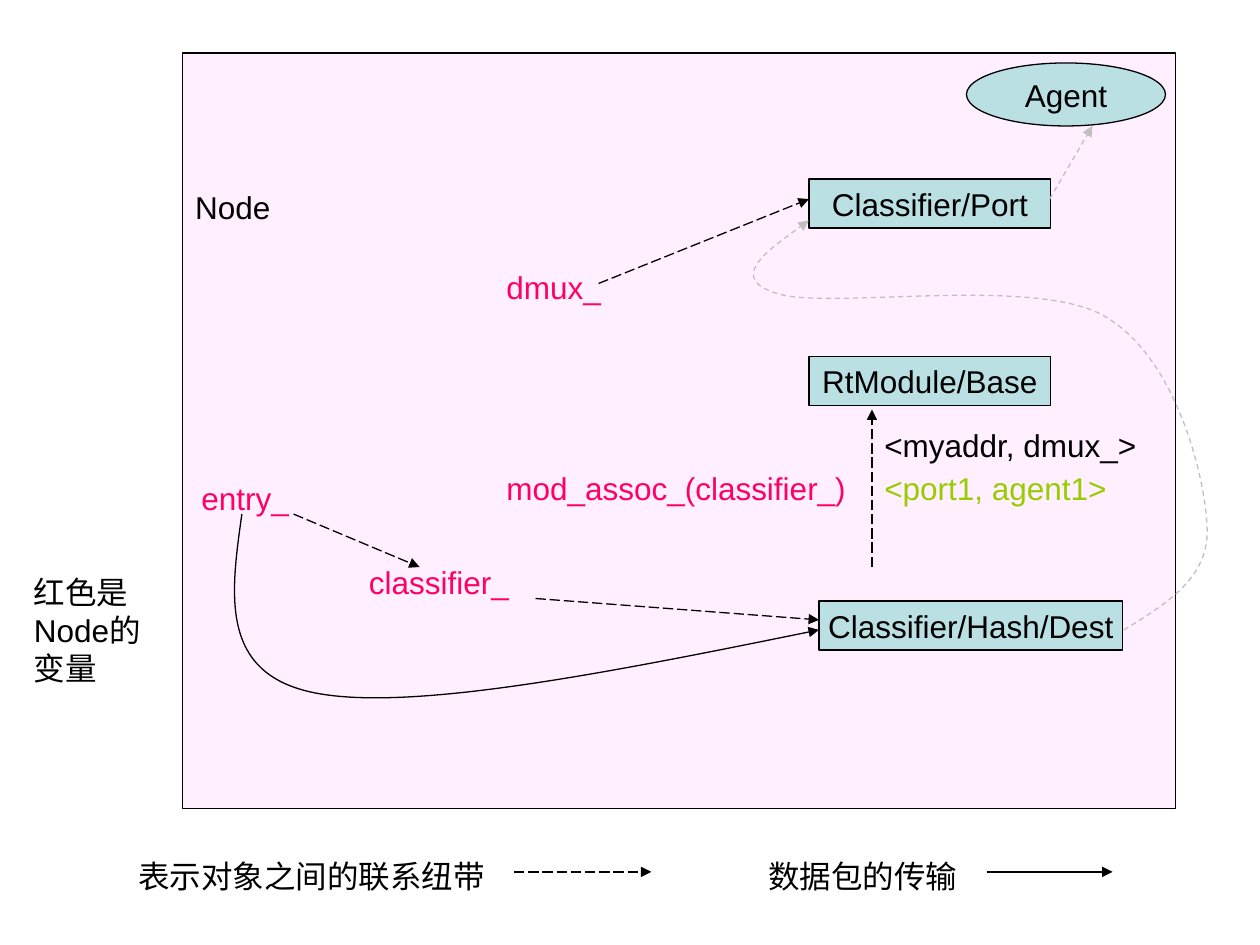
import pptx
import pptx.dml.color
import pptx.enum.dml
import pptx.enum.shapes
import pptx.enum.text
import pptx.oxml
import pptx.oxml.ns
import pptx.util

Inches = pptx.util.Inches
Pt = pptx.util.Pt
SHAPES = pptx.enum.shapes.MSO_SHAPE
DASHES = pptx.enum.dml.MSO_LINE
ALIGN = pptx.enum.text.PP_ALIGN
ANCHOR = pptx.enum.text.MSO_ANCHOR

BLACK, RED, GREEN, GREY = "000000", "FF0066", "99CC00", "C0C0C0"
TEAL, PINK = "BBE0E3", "FFCCFF"
LINK = (BLACK, DASHES.LONG_DASH)
PACKET = (BLACK, None)
FAINT = (GREY, DASHES.DASH)

NODE_AREA = (1.45, 0.42, 7.88, 6)

OBJECTS = [  # text, preset, left, top, width, height
    ("RtModule/Base", SHAPES.RECTANGLE, 6.42, 2.83, 1.92, 0.39),
    ("Classifier/Hash/Dest", SHAPES.RECTANGLE, 6.5, 4.77, 2.41, 0.39),
    ("Classifier/Port", SHAPES.RECTANGLE, 6.42, 1.42, 1.92, 0.39),
    ("Agent", SHAPES.OVAL, 7.67, 0.5, 1.58, 0.5),
]

LABELS = [  # text, colour, left, top, width, height
    ("mod_assoc_(classifier_)", RED, 3.92, 3.67, 3.25, 0.4),
    ("classifier_", RED, 2.83, 4.42, 1.33, 0.4),
    ("entry_", RED, 1.5, 3.75, 1.33, 0.4),
    ("dmux_", RED, 3.92, 2.08, 1.17, 0.4),
    ("<myaddr, dmux_>", BLACK, 6.92, 3.33, 2.33, 0.4),
    ("<port1, agent1>", GREEN, 6.92, 3.67, 2.33, 0.4),
    ("红色是Node的变量", BLACK, 0.17, 4.5, 1.08, 1),
    ("表示对象之间的联系纽带", BLACK, 1, 6.75, 3.08, 0.4),
    ("数据包的传输", BLACK, 6, 6.75, 1.75, 0.4),
]

ARROWS = [  # start, end, style
    ((4.25, 4.75), (6.5, 4.92), LINK),
    ((6.92, 4.5), (6.92, 3.25), LINK),
    ((2.33, 4.08), (3.33, 4.5), LINK),
    ((4.75, 2.25), (6.42, 1.58), LINK),
    ((4.08, 6.92), (5.17, 6.92), LINK),
    ((7.83, 6.92), (8.83, 6.92), PACKET),
    ((8.33, 1.58), (8.67, 1), FAINT),
]

CURVES = [  # frame, start, (two control points and an end) per segment, style
    ((1.74, 4.08, 4.76, 1.57), (1.92, 4.08),
     [((1.83, 4.72), (1.74, 5.35), (2.5, 5.5)),
      ((3.26, 5.65), (4.88, 5.33), (6.5, 5))], PACKET),
    ((5.78, 1.75, 3.83, 3.25), (8.92, 5),
     [((9.26, 4.79), (9.61, 4.58), (9.58, 4.17)),
      ((9.56, 3.75), (9.32, 2.81), (8.75, 2.5)),
      ((8.18, 2.19), (6.56, 2.46), (6.17, 2.33)),
      ((5.78, 2.21), (6.1, 1.98), (6.42, 1.75))], FAINT),
]


def rgb(value):
    return pptx.dml.color.RGBColor.from_string(value)


def add_child(parent, tag, **attributes):
    child = pptx.oxml.parse_xml(f"<{tag} {pptx.oxml.ns.nsdecls('a')}/>")
    for name, value in attributes.items():
        child.set(name, str(value))
    parent.append(child)
    return child


def write(box, text, color, align=ALIGN.LEFT):
    para = box.text_frame.paragraphs[0]
    para.alignment = align
    span = para.add_run()
    span.text = text
    span.font.name = "Arial"
    span.font.size = Pt(18)
    span.font.color.rgb = rgb(color)


def add_object(page, preset, frame, fill):
    box = page.shapes.add_shape(preset, *map(Inches, frame))
    box.shadow.inherit = False
    box.fill.solid()
    box.fill.fore_color.rgb = rgb(fill)
    box.line.color.rgb = rgb(BLACK)
    box.line.width = Pt(0.75)
    return box


def add_node_area(page):
    area = add_object(page, SHAPES.RECTANGLE, NODE_AREA, PINK)
    color = area.fill._xPr.find(".//" + pptx.oxml.ns.qn("a:srgbClr"))
    add_child(color, "a:alpha", val=31000)
    area.text_frame.word_wrap = True
    area.text_frame.vertical_anchor = ANCHOR.TOP
    area.text_frame.margin_top = Inches(1.07)
    write(area, "Node", BLACK)


def add_label(page, text, color, frame):
    label = page.shapes.add_textbox(*map(Inches, frame))
    label.text_frame.word_wrap = True
    label.text_frame.auto_size = pptx.enum.text.MSO_AUTO_SIZE.SHAPE_TO_FIT_TEXT
    write(label, text, color)


def style_arrow(arrow, style):
    color, dash = style
    arrow.line.color.rgb = rgb(color)
    arrow.line.width = Pt(0.75)
    if dash:
        arrow.line.dash_style = dash
    add_child(arrow.line._get_or_add_ln(), "a:tailEnd", type="triangle")


def add_arrow(page, start, end, style):
    arrow = page.shapes.add_connector(
        pptx.enum.shapes.MSO_CONNECTOR.STRAIGHT, *map(Inches, start + end))
    style_arrow(arrow, style)
    add_child(arrow._element.spPr, "a:effectLst")


def add_curve(page, frame, start, segments, style):
    """Draw a freeform whose segments are cubic curves."""
    builder = page.shapes.build_freeform(*map(Inches, start))
    ends = [tuple(map(Inches, segment[-1])) for segment in segments]
    builder.add_line_segments(ends, close=False)
    curve = builder.convert_to_shape()
    curve.left, curve.top, curve.width, curve.height = map(Inches, frame)
    outline = curve._element.spPr.find(".//" + pptx.oxml.ns.qn("a:path"))
    for child in list(outline):
        outline.remove(child)
    outline.set("w", str(curve.width))
    outline.set("h", str(curve.height))
    steps = [("a:moveTo", [start])] + [("a:cubicBezTo", s) for s in segments]
    for tag, points in steps:
        step = add_child(outline, tag)
        for x, y in points:
            add_child(step, "a:pt", x=Inches(x) - curve.left,
                      y=Inches(y) - curve.top)
    curve.shadow.inherit = False
    curve.fill.background()
    style_arrow(curve, style)


def main():
    deck = pptx.Presentation()
    deck.slide_width, deck.slide_height = Inches(10), Inches(7.5)
    page = deck.slides.add_slide(deck.slide_layouts[6])
    add_node_area(page)
    for text, preset, *frame in OBJECTS:
        box = add_object(page, preset, frame, TEAL)
        box.text_frame.word_wrap = False
        box.text_frame.vertical_anchor = ANCHOR.MIDDLE
        write(box, text, BLACK, ALIGN.CENTER)
    for text, color, *frame in LABELS:
        add_label(page, text, color, frame)
    for arrow in ARROWS:
        add_arrow(page, *arrow)
    for curve in CURVES:
        add_curve(page, *curve)
    deck.save("out.pptx")


if __name__ == "__main__":
    main()
